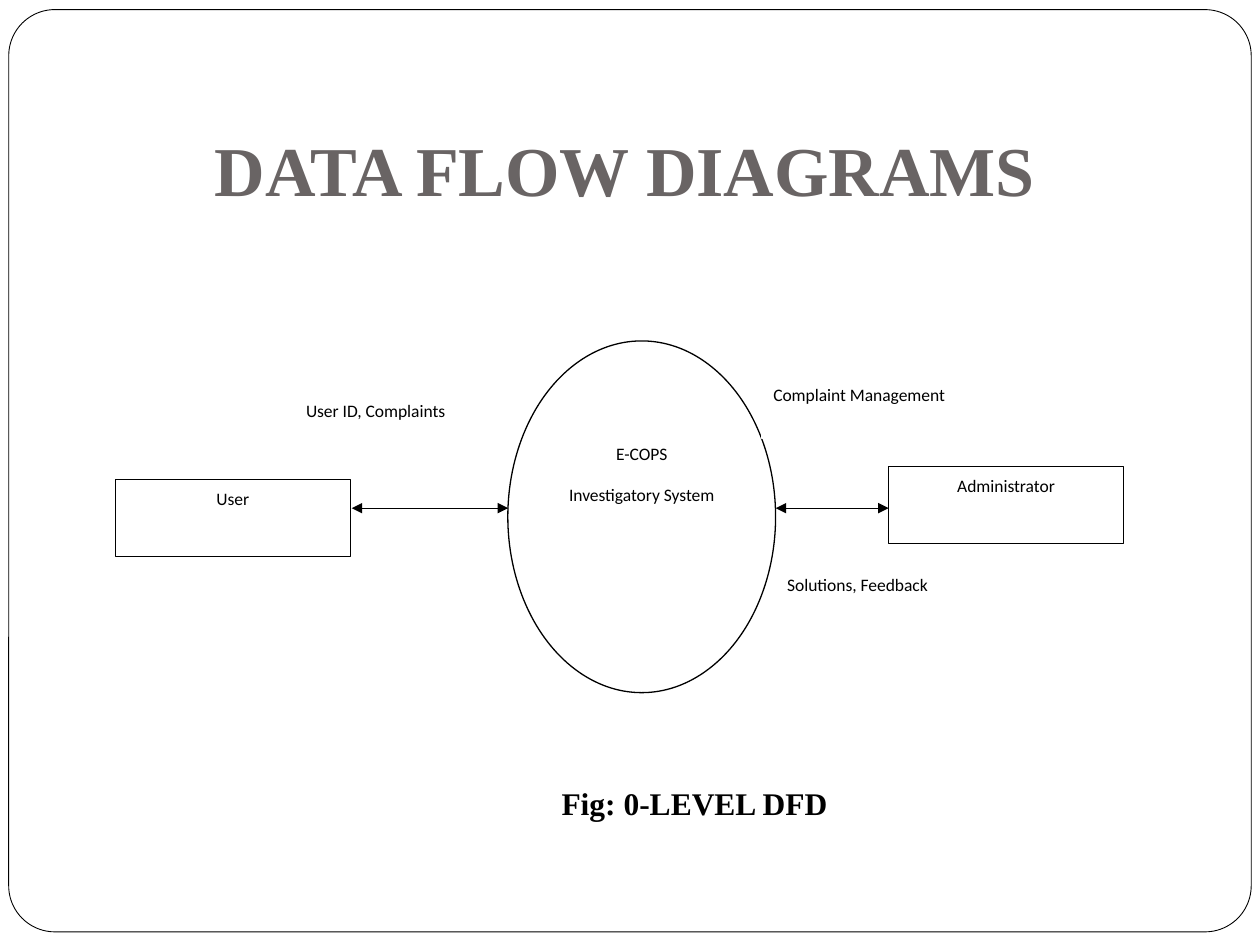
from dataclasses import dataclass

from lxml import etree
from pptx import Presentation
from pptx.dml.color import RGBColor
from pptx.enum.shapes import MSO_CONNECTOR, MSO_SHAPE
from pptx.enum.text import MSO_ANCHOR, MSO_AUTO_SIZE, PP_ALIGN
from pptx.oxml.ns import qn
from pptx.util import Pt

RECT, OVAL, ROUND = MSO_SHAPE.RECTANGLE, MSO_SHAPE.OVAL, MSO_SHAPE.ROUNDED_RECTANGLE
LEFT, MID = PP_ALIGN.LEFT, PP_ALIGN.CENTER
TOP, BOTTOM = MSO_ANCHOR.TOP, MSO_ANCHOR.BOTTOM
STRAIGHT = MSO_CONNECTOR.STRAIGHT


@dataclass
class Theme:
    white = RGBColor(0xFF, 0xFF, 0xFF)
    black = RGBColor(0, 0, 0)
    grey = RGBColor(0x69, 0x64, 0x64)
    serif = "Times New Roman"
    sans = "Calibri"
    head = 40
    note = 18
    body = 10
    thin = 0.5
    rule = 0.75


theme = Theme()


def add_run(para, text, face, size, color, bold=False):
    run = para.add_run()
    run.text = text
    run.font.name = face
    run.font.size = Pt(size)
    run.font.bold = bold
    run.font.color.rgb = color


def add_box(kind, place, edge, width, lines=(), align=MID, top=2.9):
    box = slide.shapes.add_shape(kind, *map(Pt, place))
    box.shadow.inherit = False
    box.fill.solid()
    box.fill.fore_color.rgb = theme.white
    box.line.color.rgb = edge
    box.line.width = Pt(width)
    frame = box.text_frame
    frame.word_wrap = True
    frame.vertical_anchor = TOP
    frame.margin_left = frame.margin_right = Pt(6.5)
    frame.margin_top, frame.margin_bottom = Pt(top), Pt(2.9)
    for i, text in enumerate(lines):
        para = frame.add_paragraph() if i else frame.paragraphs[0]
        para.alignment = align
        para.line_spacing = 1.15
        para.space_after = Pt(10)
        add_run(para, text, theme.sans, theme.body, theme.black)
    return box


deck = Presentation()
deck.slide_width, deck.slide_height = Pt(720), Pt(540)
slide = deck.slides.add_slide(deck.slide_layouts[5])

title = slide.shapes.title
title.left, title.top, title.width, title.height = map(Pt, (82.8, 54, 548.6, 73.4))
frame = title.text_frame
frame.auto_size = MSO_AUTO_SIZE.NONE
frame.word_wrap = True
frame.vertical_anchor = BOTTOM
frame.margin_left = frame.margin_right = frame.margin_bottom = Pt(7.2)
frame.margin_top = Pt(3.6)
frame.paragraphs[0].alignment = MID
add_run(frame.paragraphs[0], "DATA FLOW DIAGRAMS", theme.serif, theme.head, theme.grey, True)

border = add_box(ROUND, (5, 5.5, 710, 527), theme.black, theme.thin)
border.adjustments[0] = 0.05
title.element.addprevious(border.element)

note = slide.shapes.add_textbox(Pt(228.2), Pt(444.2), Pt(258.5), Pt(29))
note.text_frame.word_wrap = True
note.text_frame.margin_left = Pt(92.7)
add_run(note.text_frame.paragraphs[0], "Fig: 0-LEVEL DFD", theme.serif, theme.note, theme.black, True)

add_box(OVAL, (290.2, 194.8, 153, 201), theme.black, theme.rule,
        ("E-COPS", "Investigatory System"), top=27)
for name, x, y in (("User", 66, 274), ("Administrator", 507.8, 266.6)):
    add_box(RECT, (x, y, 134.2, 44), theme.black, theme.rule, (name,))

for start, end in ((201, 290.4), (443.3, 507.8)):
    arrow = slide.shapes.add_connector(STRAIGHT, Pt(start), Pt(290.4), Pt(end), Pt(290.4))
    arrow.line.color.rgb = theme.black
    arrow.line.width = Pt(theme.rule)
    for tag in ("a:headEnd", "a:tailEnd"):
        etree.SubElement(arrow.line._get_or_add_ln(), qn(tag), type="triangle")
    etree.SubElement(arrow.element.spPr, qn("a:effectLst"))

for text, place in (
    ("User ID, Complaints", (168.4, 223.8, 124, 36)),
    ("Complaint Management", (435.4, 214.8, 158.4, 36)),
    ("Solutions, Feedback", (443.3, 323.6, 124, 41)),
):
    add_box(RECT, place, theme.white, theme.rule, (text,), LEFT)

deck.save("out.pptx")
